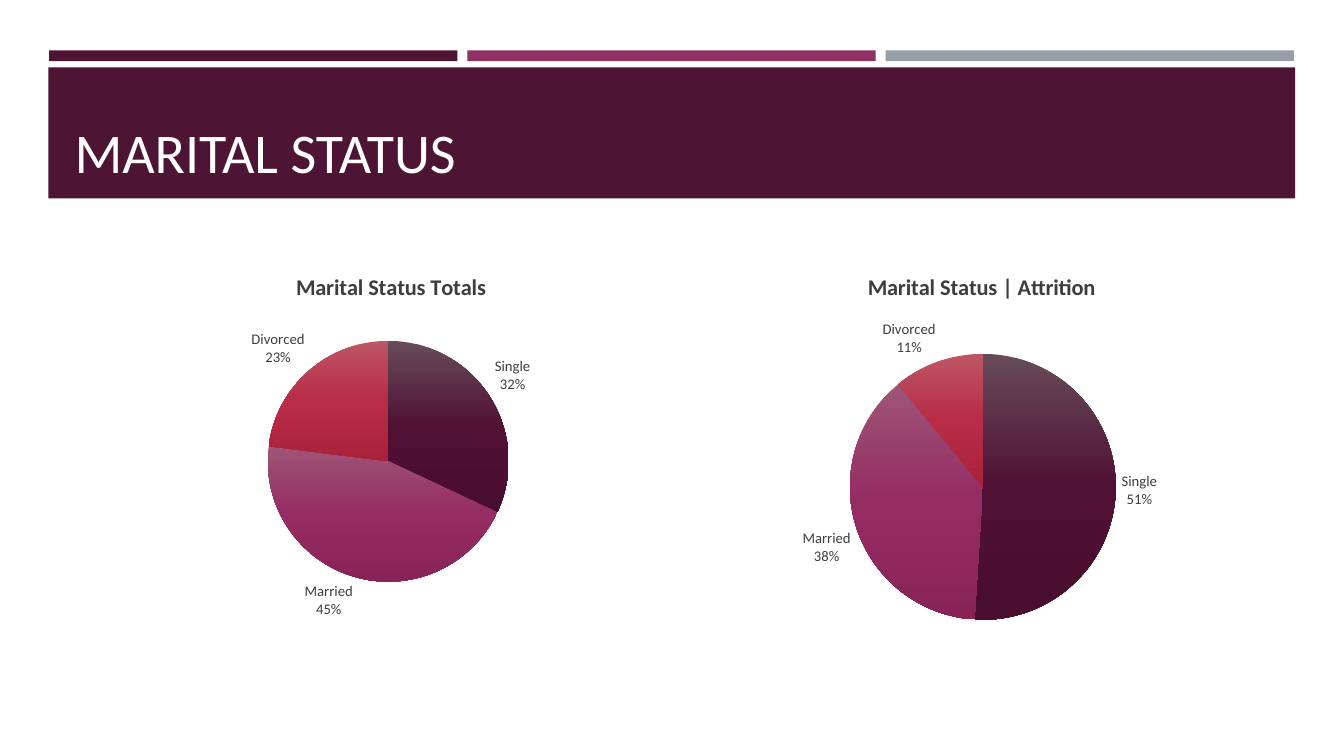
"""Build the marital status slide: a title band above two pie charts."""
from dataclasses import dataclass

from lxml import etree
from pptx import Presentation
from pptx.chart.data import CategoryChartData
from pptx.dml.color import RGBColor
from pptx.enum.chart import XL_CHART_TYPE as ChartType, XL_LABEL_POSITION as LabelPos
from pptx.enum.shapes import MSO_SHAPE as Shape
from pptx.enum.text import MSO_ANCHOR as Anchor
from pptx.oxml import parse_xml
from pptx.oxml.ns import nsdecls, qn
from pptx.util import Cm, Pt

FONT = "Calibri"
COLORS = {"plum": "4D1434", "magenta": "903163", "gray": "969FA7",
          "white": "FFFFFF", "text": "3D3D3D"}
GRADIENTS = {
    "Single": ("674C58", "501134", "490D2F"),
    "Married": ("9E5577", "952C63", "882358"),
    "Divorced": ("BD5664", "B82C47", "AA213C"),
}
CHART_TOP, CHART_HEIGHT, TITLE_TOP = 6.27, 9.7, 6.76


@dataclass(frozen=True)
class Box:
    left: float
    top: float
    width: float
    height: float

    def emu(self) -> tuple:
        return tuple(Cm(v) for v in (self.left, self.top, self.width, self.height))


@dataclass(frozen=True)
class Pie:
    title: str
    values: tuple
    left: float
    width: float
    title_left: float
    disc: Box


PIES = (
    Pie("Marital Status Totals", (32, 45, 23), 3.86, 11.79, 7.36,
        Box(6.75, 8.59, 6.07, 6.07)),
    Pie("Marital Status | Attrition", (51, 38, 11), 17.81, 13.69, 21.77,
        Box(21.42, 8.92, 6.7, 6.7)),
)


def set_font(font, size: float, color: str, bold: bool = False) -> None:
    font.name, font.size, font.bold = FONT, Pt(size), bold
    font.color.rgb = RGBColor.from_string(COLORS[color])


def write_text(tf, text: str, *, size: float, color: str, bold: bool = False) -> None:
    r = tf.paragraphs[0].add_run()
    r.text = text
    set_font(r.font, size, color, bold)


def add_rect(slide, box: Box, color: str) -> None:
    sp = slide.shapes.add_shape(Shape.RECTANGLE, *box.emu())
    sp.shadow.inherit = False
    sp.fill.solid()
    sp.fill.fore_color.rgb = RGBColor.from_string(COLORS[color])
    sp.line.fill.background()


def set_layout(parent, index: int, **values) -> None:
    for old in parent.findall(qn("c:layout")):
        parent.remove(old)
    layout = parse_xml(f'<c:layout {nsdecls("c")}><c:manualLayout/></c:layout>')
    for tag, value in values.items():
        text = value if isinstance(value, str) else f"{value:.4f}"
        etree.SubElement(layout[0], qn(f"c:{tag}")).set("val", text)
    parent.insert(index, layout)


def fill_gradient(point, stops: tuple) -> None:
    point.format.line.fill.background()
    gs = "".join(f'<a:gs pos="{i * 50000}"><a:srgbClr val="{color}"/></a:gs>'
                 for i, color in enumerate(stops))
    grad = parse_xml(f'<a:gradFill {nsdecls("a")} rotWithShape="1"><a:gsLst>{gs}'
                     '</a:gsLst><a:lin ang="5400000" scaled="0"/></a:gradFill>')
    point.format.line._get_or_add_ln().addprevious(grad)


def add_pie(slide, pie: Pie) -> None:
    data = CategoryChartData()
    data.categories = list(GRADIENTS)
    data.add_series("Series 1", pie.values)
    frame = Box(pie.left, CHART_TOP, pie.width, CHART_HEIGHT)
    chart = slide.shapes.add_chart(ChartType.PIE, *frame.emu(), data).chart
    set_font(chart.font, 10, "text")
    chart.has_legend = False
    chart.has_title = True
    write_text(chart.chart_title.text_frame, pie.title, size=16, color="text", bold=True)
    set_layout(chart.chart_title._element, 1, xMode="edge", yMode="edge",
               x=(pie.title_left - pie.left) / pie.width,
               y=(TITLE_TOP - CHART_TOP) / CHART_HEIGHT)

    plot = chart.plots[0]
    plot.vary_by_categories = True
    set_layout(plot._element.getparent(), 0, layoutTarget="inner",
               xMode="edge", yMode="edge",
               x=(pie.disc.left - pie.left) / pie.width,
               y=(pie.disc.top - CHART_TOP) / CHART_HEIGHT,
               w=pie.disc.width / pie.width, h=pie.disc.height / CHART_HEIGHT)
    series = plot.series[0]
    for i, stops in enumerate(GRADIENTS.values()):
        fill_gradient(series.points[i], stops)

    labels = series.data_labels
    labels.show_value = False
    labels.show_category_name = labels.show_percentage = True
    labels.number_format, labels.number_format_is_linked = "0%", False
    labels.position = LabelPos.OUTSIDE_END
    set_font(labels.font, 10.5, "text")
    separator = parse_xml(f'<c:separator {nsdecls("c")}>\n</c:separator>')
    labels._element.find(qn("c:showBubbleSize")).addnext(separator)


def main() -> None:
    prs = Presentation()
    prs.slide_width, prs.slide_height = Cm(33.87), Cm(19.05)
    s = prs.slides.add_slide(prs.slide_layouts[6])
    for i, color in enumerate(("plum", "magenta", "gray")):
        add_rect(s, Box(1.24 + i * 10.54, 1.27, 10.29, 0.27), color)
    add_rect(s, Box(1.22, 1.7, 31.42, 3.3), "plum")
    tf = s.shapes.add_textbox(*Box(1.63, 1.96, 30.63, 2.82).emu()).text_frame
    tf.word_wrap = True
    tf.vertical_anchor = Anchor.BOTTOM
    write_text(tf, "MARITAL STATUS", size=40, color="white")
    for pie in PIES:
        add_pie(s, pie)
    prs.save("out.pptx")


if __name__ == "__main__":
    main()
